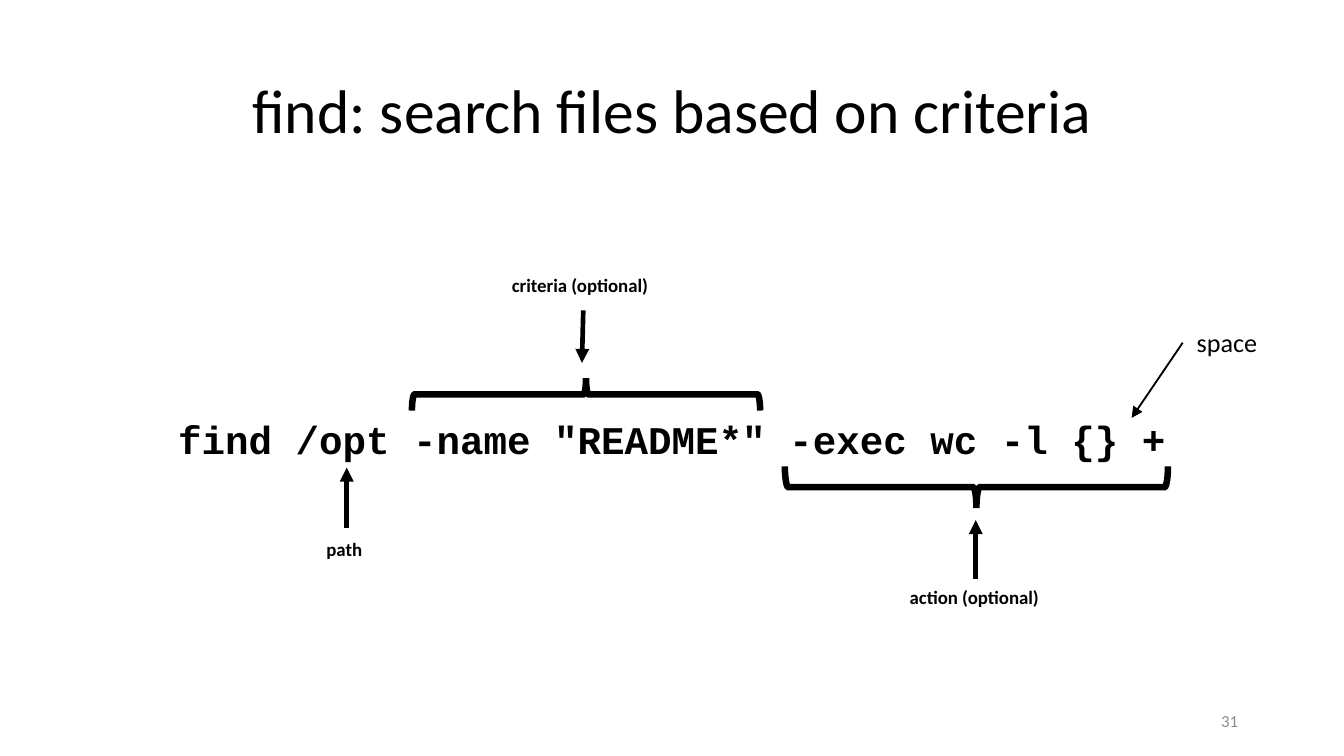
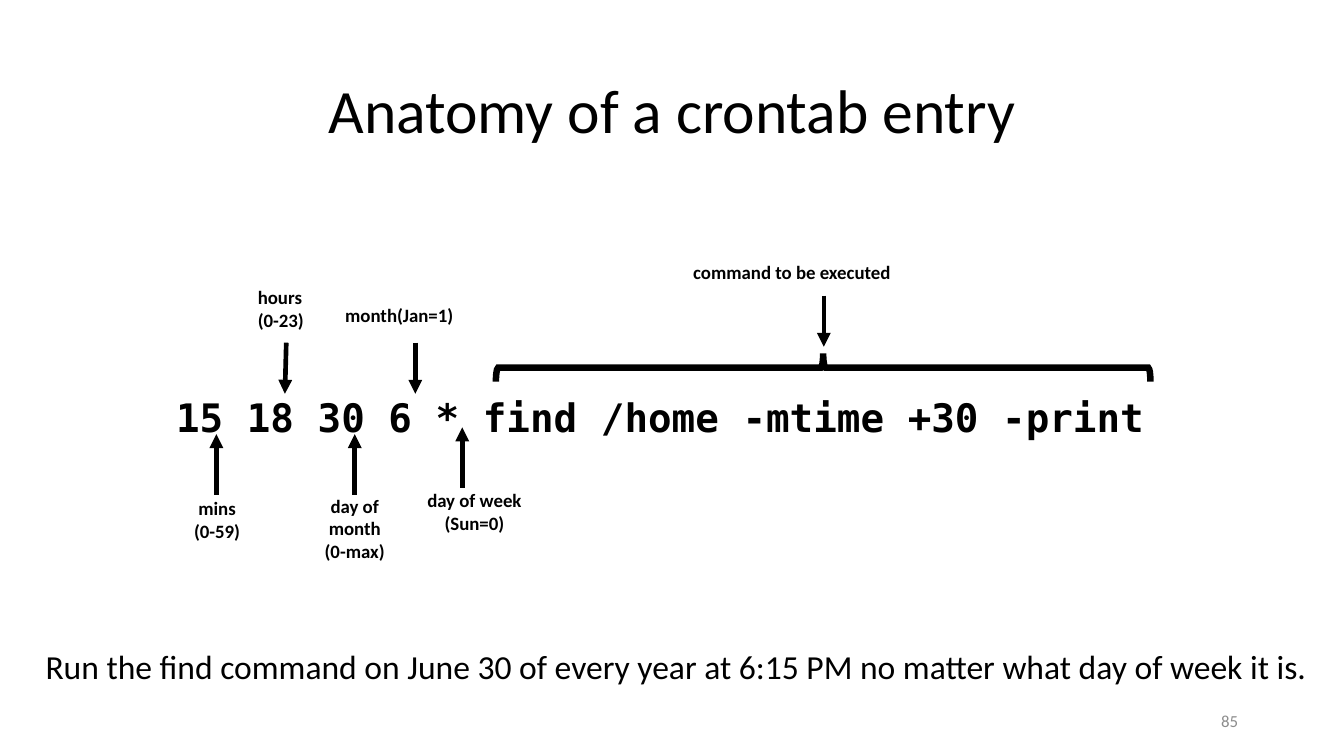
from dataclasses import dataclass

from lxml import etree
from pptx import Presentation
from pptx import util as u
from pptx.dml.color import RGBColor
from pptx.enum import shapes, text
from pptx.oxml.ns import qn

BLACK, GREY = "000000", "8C8C8C"
SANS = "Calibri"
LEFT, CENTER, RIGHT = text.PP_ALIGN.LEFT, text.PP_ALIGN.CENTER, text.PP_ALIGN.RIGHT
TITLE_AREA = (0.69, 0.3, 8.62, 1.09)
BODY_AREA = (0.69, 1.5, 8.62, 3.57)
NUMBER_AREA = (7.06, 5.21, 2.25, 0.3)
UP, DOWN = 90, 270
TOP_SIDE, LEFT_SIDE = 0, 1


@dataclass
class Command:
    words: str
    font: str
    right_inset: float = 0.1
    bottom_inset: float = 0.05


@dataclass
class Label:
    words: str
    area: tuple[float, float, float, float]
    align: text.PP_ALIGN = LEFT
    size: float = 10.1
    bold: bool = True


@dataclass
class Arrow:
    start: tuple[float, float]
    end: tuple[float, float]
    width: float = 2.5
    source: str = ""
    side: int = TOP_SIDE


@dataclass
class Brace:
    area: tuple[float, float, float, float]
    pointing: int


@dataclass
class Diagram:
    title: str
    number: str
    command: Command
    labels: list[Label]
    arrows: list[Arrow]
    braces: list[Brace]


DIAGRAMS = [
    Diagram(
        "find: search files based on criteria", "31",
        Command('find /opt -name "README*" -exec wc -l {} +', "Courier New"),
        [
            Label("path", (2.33, 3.95, 0.47, 0.27)),
            Label("criteria (optional)", (3.71, 1.99, 1.24, 0.27)),
            Label("action (optional)", (6.67, 4.31, 1.18, 0.27)),
            Label("space", (8.8, 2.38, 0.66, 0.34), CENTER, 14, False),
        ],
        [
            Arrow((2.58, 3.93), (2.58, 3.48)),
            Arrow((4.34, 2.31), (4.33, 2.7)),
            Arrow((7.26, 4.32), (7.26, 3.87), source="action (optional)"),
            Arrow((8.8, 2.57), (8.42, 3.11), 1, "space", LEFT_SIDE),
        ],
        [Brace((4.24, 1.64, 0.24, 2.59), UP), Brace((7.11, 2.2, 0.31, 2.85), DOWN)],
    ),
    Diagram(
        "Anatomy of a crontab entry", "85",
        Command("15 18 30 6 * find /home -mtime +30 -print", "DejaVu Sans Mono", 0.28, 0.37),
        [
            Label("day of\nmonth\n(0-max)", (2.31, 3.63, 0.66, 0.61), CENTER),
            Label("hours\n(0-23)", (1.82, 2.08, 0.55, 0.44)),
            Label("day of week\n(Sun=0)", (3.07, 3.59, 0.92, 0.44), CENTER),
            Label("month(Jan=1)", (2.47, 2.21, 1.02, 0.27)),
            Label("mins\n(0-59)", (1.34, 3.65, 0.55, 0.44), CENTER),
            Label("command to be executed", (5.06, 1.89, 1.7, 0.27)),
            Label("Run the find command on June 30 of every year at 6:15 PM "
                  "no matter what day of week it is.", (0.24, 4.76, 9.65, 0.4), LEFT, 18, False),
        ],
        [
            Arrow((1.61, 3.68), (1.61, 3.23)),
            Arrow((2.13, 2.55), (2.12, 2.93)),
            Arrow((6.13, 2.2), (6.13, 2.58)),
            Arrow((3.09, 2.55), (3.09, 2.93)),
            Arrow((2.64, 3.68), (2.64, 3.23)),
            Arrow((3.44, 3.63), (3.44, 3.18)),
        ],
        [Brace((6.02, 0.3, 0.21, 4.87), UP)],
    ),
]


def color(value: str) -> RGBColor:
    return RGBColor.from_string(value)


def inches(values: tuple) -> list:
    return [u.Inches(value) for value in values]


def write(box, words: str, size: float, align, font=SANS, bold=False, ink=BLACK):
    para = box.text_frame.paragraphs[0]
    para.text = words
    para.alignment = align
    para.font.name = font
    para.font.size = u.Pt(size)
    para.font.bold = bold
    para.font.color.rgb = color(ink)
    return para


def add_title(page, words: str) -> None:
    title = page.shapes.title
    title.left, title.top, title.width, title.height = inches(TITLE_AREA)
    title.text_frame.vertical_anchor = text.MSO_ANCHOR.MIDDLE
    write(title, words, 33, CENTER).line_spacing = 0.9


def add_middle_box(page, area: tuple):
    box = page.shapes.add_textbox(*inches(area))
    box.text_frame.word_wrap = True
    box.text_frame.vertical_anchor = text.MSO_ANCHOR.MIDDLE
    return box


def add_command(page, command: Command) -> None:
    box = add_middle_box(page, BODY_AREA)
    box.text_frame.margin_right = u.Inches(command.right_inset)
    box.text_frame.margin_bottom = u.Inches(command.bottom_inset)
    para = write(box, command.words, 21, CENTER, command.font, True)
    para.line_spacing = 0.9
    para.space_before = u.Pt(7.5)


def add_label(page, label: Label):
    box = page.shapes.add_textbox(*inches(label.area))
    box.text_frame.word_wrap = False
    box.text_frame.auto_size = text.MSO_AUTO_SIZE.SHAPE_TO_FIT_TEXT
    write(box, label.words, label.size, label.align, bold=label.bold)
    return box


def add_brace(page, brace: Brace) -> None:
    shape = page.shapes.add_shape(shapes.MSO_SHAPE.LEFT_BRACE, *inches(brace.area))
    shape.rotation = brace.pointing
    shape.shadow.inherit = False
    shape.fill.background()
    shape.line.color.rgb = color(BLACK)
    shape.line.width = u.Pt(3.5)
    etree.SubElement(shape.line._get_or_add_ln(), qn("a:miter"), lim="800000")


def add_arrow(page, arrow: Arrow, boxes: dict) -> None:
    line = page.shapes.add_connector(
        shapes.MSO_CONNECTOR.STRAIGHT, *inches(arrow.start + arrow.end))
    if arrow.source:
        line.begin_connect(boxes[arrow.source], arrow.side)
    line.line.color.rgb = color(BLACK)
    line.line.width = u.Pt(arrow.width)
    etree.SubElement(line.line._get_or_add_ln(), qn("a:tailEnd"), type="triangle")
    etree.SubElement(line._element.spPr, qn("a:effectLst"))


def add_diagram(deck, diagram: Diagram) -> None:
    page = deck.slides.add_slide(deck.slide_layouts.get_by_name("Title Only"))
    add_title(page, diagram.title)
    add_command(page, diagram.command)
    write(add_middle_box(page, NUMBER_AREA), diagram.number, 9, RIGHT, ink=GREY)
    for brace in diagram.braces:
        add_brace(page, brace)
    boxes = {label.words: add_label(page, label) for label in diagram.labels}
    for arrow in diagram.arrows:
        add_arrow(page, arrow, boxes)


def main() -> None:
    deck = Presentation()
    deck.slide_width = u.Inches(10)
    deck.slide_height = deck.slide_width * 9 // 16
    for diagram in DIAGRAMS:
        add_diagram(deck, diagram)
    deck.save("out.pptx")


if __name__ == "__main__":
    main()
